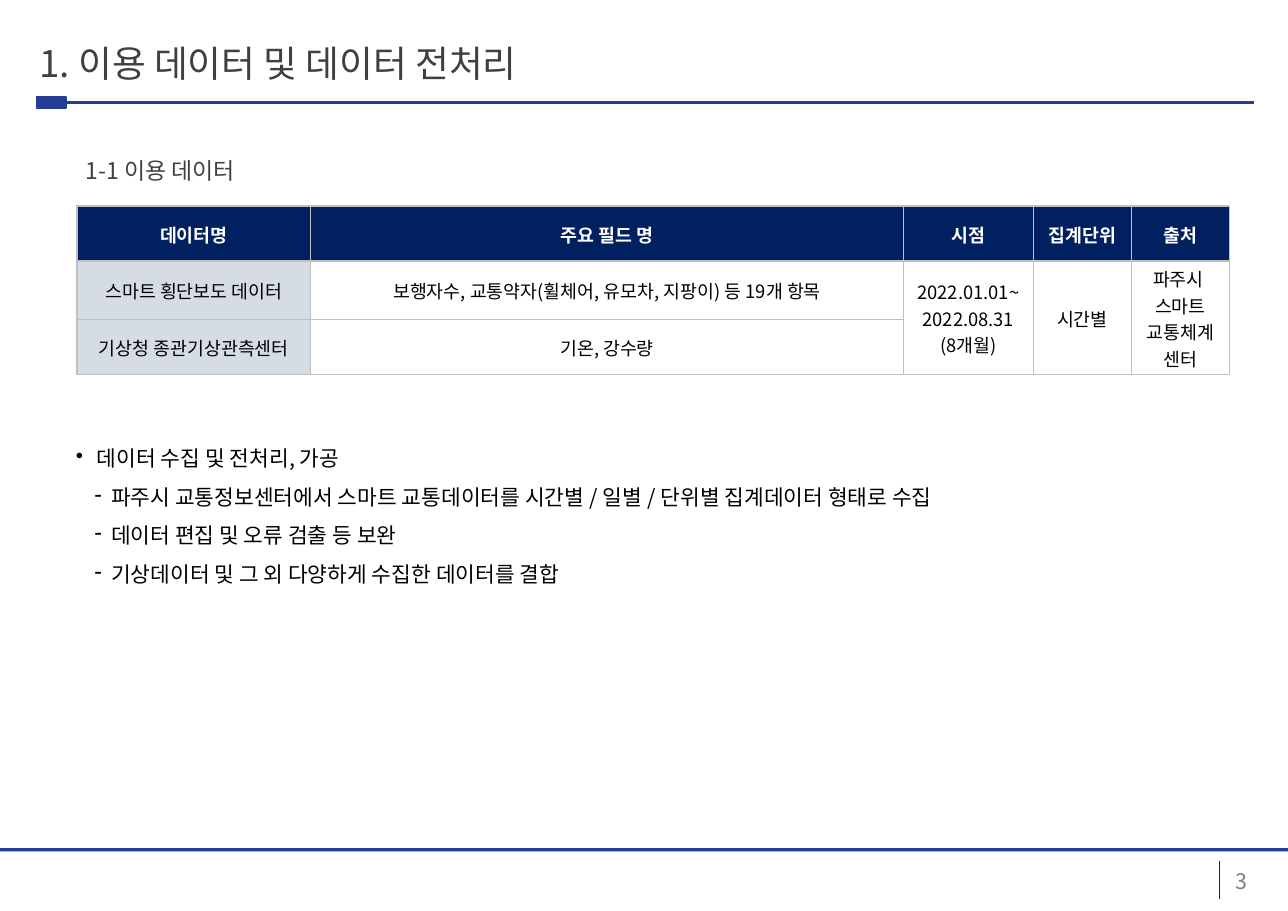
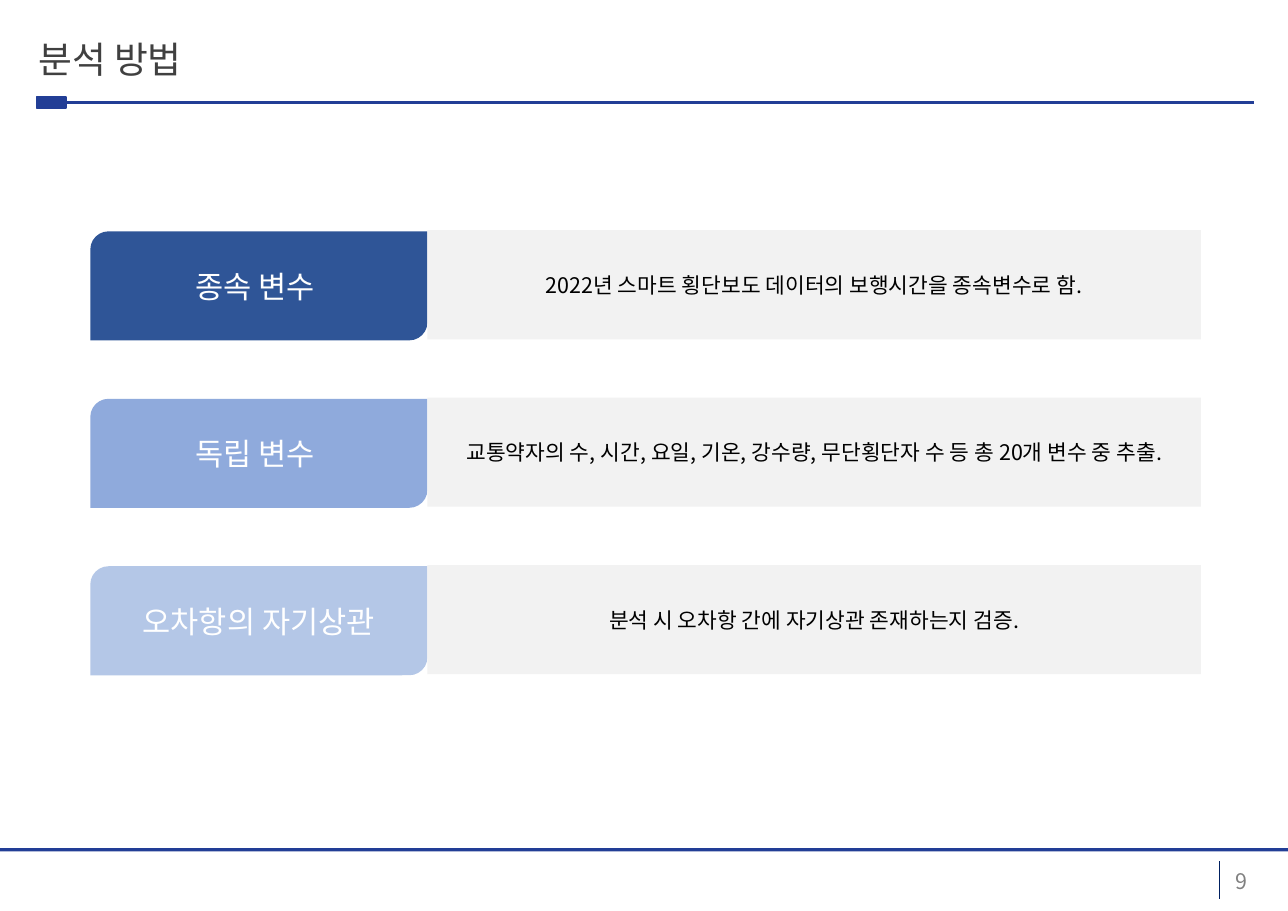
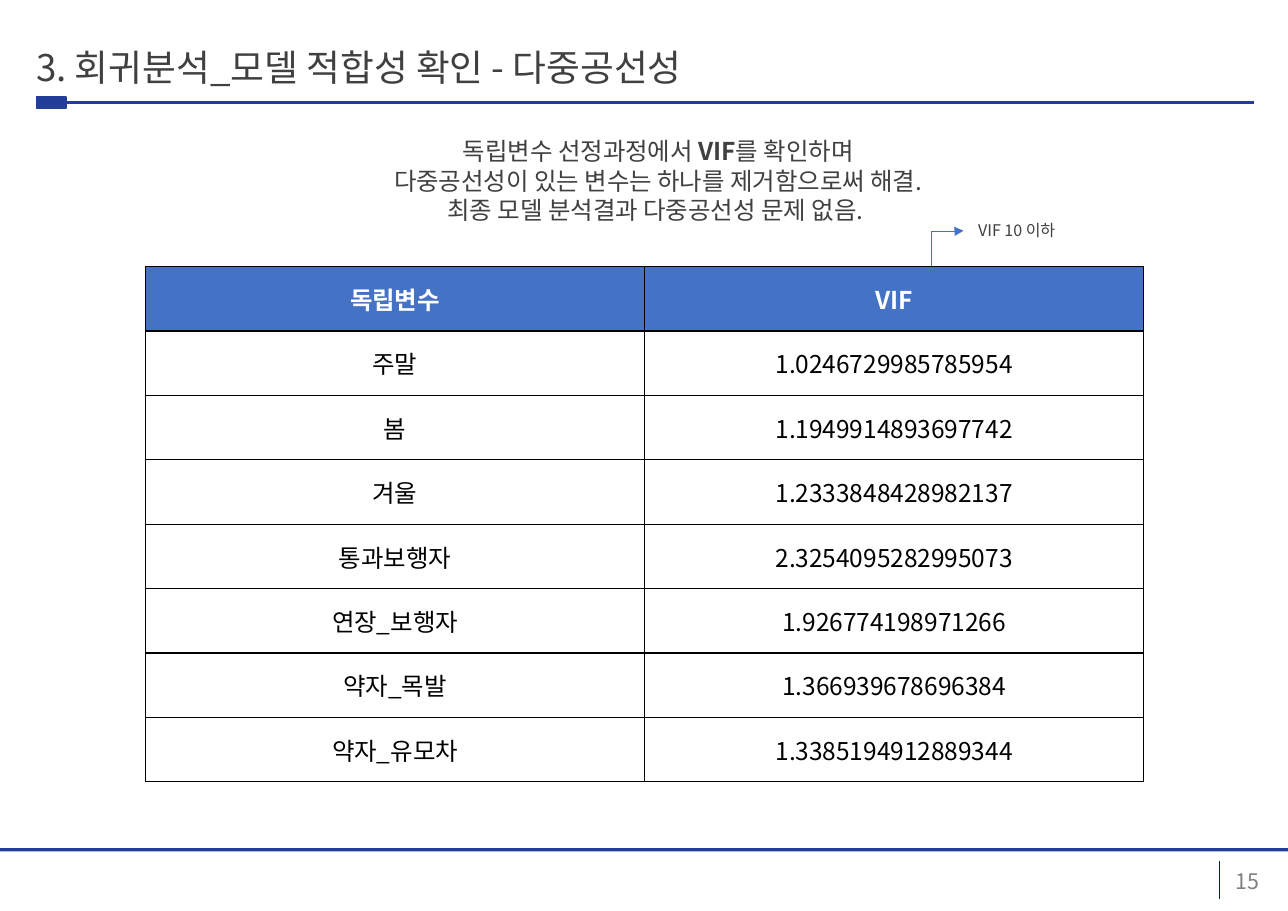
import lxml.etree
import pptx
import pptx.dml.color
import pptx.enum.shapes
import pptx.enum.text
import pptx.oxml.ns
import pptx.util

Inches = pptx.util.Inches
Pt = pptx.util.Pt
RGBColor = pptx.dml.color.RGBColor
Shape = pptx.enum.shapes.MSO_SHAPE
Connector = pptx.enum.shapes.MSO_CONNECTOR
Align = pptx.enum.text.PP_ALIGN
Anchor = pptx.enum.text.MSO_ANCHOR
qn = pptx.oxml.ns.qn

FONT = "Noto Sans CJK KR"
WIDTH, HEIGHT = 11.69, 8.27
BAND_BLUE = RGBColor(0x22, 0x3E, 0x96)
NAVY = RGBColor(0x00, 0x20, 0x60)
BLUE = RGBColor(0x44, 0x72, 0xC4)
DARK_GRAY = RGBColor(0x40, 0x40, 0x40)
PAGE_GRAY = RGBColor(0x80, 0x80, 0x80)
BORDER_GRAY = RGBColor(0xBF, 0xBF, 0xBF)
PANEL_GRAY = RGBColor(0xF2, 0xF2, 0xF2)
NAME_GRAY = RGBColor(0xD6, 0xDC, 0xE5)
BLACK = RGBColor(0x00, 0x00, 0x00)
WHITE = RGBColor(0xFF, 0xFF, 0xFF)
TAG_BLUES = [RGBColor(0x2F, 0x55, 0x97), RGBColor(0x8F, 0xAA, 0xDC), RGBColor(0xB4, 0xC7, 0xE7)]


# Text

def format_run(run, size, color, bold):
    run.font.size, run.font.name, run.font.bold = Pt(size), FONT, bold
    run.font.color.rgb = color
    lxml.etree.SubElement(run.font._element, qn("a:ea")).set("typeface", FONT)


def write(frame, lines, size, color, align=Align.LEFT, bold=False):
    """Each line is a string, or a tuple of runs in which every second one is bold."""
    frame.text = "\n".join("".join(line) for line in lines)
    for line, paragraph in zip(lines, frame.paragraphs):
        paragraph.alignment = align
        if isinstance(line, tuple):
            paragraph.clear()
            for text in line:
                paragraph.add_run().text = text
        for index, run in enumerate(paragraph.runs):
            format_run(run, size, color, bold or index % 2 == 1)


def add_text(slide, box, lines, size, color, align=Align.LEFT, anchor=Anchor.TOP, wrap=True):
    frame = slide.shapes.add_textbox(*map(Inches, box)).text_frame
    frame.word_wrap, frame.vertical_anchor = wrap, anchor
    write(frame, lines, size, color, align)
    return frame


def space_paragraph(paragraph):
    paragraph.line_spacing, paragraph.space_before = 0.9, Pt(10)


def add_label(slide, box, text, size):
    frame = add_text(slide, box, [text], size, DARK_GRAY, anchor=Anchor.MIDDLE)
    space_paragraph(frame.paragraphs[0])


def add_bullets(slide, box, items):
    """Items are (bullet sign, left margin, hanging width, text)."""
    frame = add_text(slide, box, [item[3] for item in items], 14, BLACK)
    for (sign, margin, hanging, _), paragraph in zip(items, frame.paragraphs):
        space_paragraph(paragraph)
        properties = paragraph._p.get_or_add_pPr()
        properties.set("marL", str(Inches(margin)))
        properties.set("indent", str(-Inches(hanging)))
        lxml.etree.SubElement(properties, qn("a:buChar")).set("char", sign)


# Shapes and lines

def add_block(slide, kind, box, fill):
    shape = slide.shapes.add_shape(kind, *map(Inches, box))
    shape.shadow.inherit = False
    shape.fill.solid()
    shape.fill.fore_color.rgb = fill
    shape.line.fill.background()
    return shape


def add_line(slide, kind, ends, color, width):
    connector = slide.shapes.add_connector(kind, *map(Inches, ends))
    connector.line.color.rgb, connector.line.width = color, Pt(width)
    lxml.etree.SubElement(connector._element.spPr, qn("a:effectLst"))
    return connector


def add_callout_arrow(slide, left, top, width, height):
    """Elbow arrow that rises from a table edge and turns right."""
    # The box is turned a quarter, so the ends are given before turning.
    ends = (left + width, top + height, left, top)
    connector = add_line(slide, Connector.ELBOW, ends, BLUE, 0.5)
    properties = connector._element.spPr
    properties.find(qn("a:xfrm")).set("rot", "5400000")
    guides = properties.find(qn("a:prstGeom")).get_or_add_avLst()
    guide = lxml.etree.SubElement(guides, qn("a:gd"))
    guide.set("name", "adj1")
    guide.set("fmla", "val 98500")
    line = properties.find(qn("a:ln"))
    lxml.etree.SubElement(line, qn("a:tailEnd")).set("type", "triangle")


# Tables

def set_borders(cell, color):
    properties = cell._tc.get_or_add_tcPr()
    for side in ("lnL", "lnR", "lnT", "lnB"):
        line = lxml.etree.SubElement(properties, qn("a:" + side))
        line.set("w", str(Pt(1)))
        fill = lxml.etree.SubElement(line, qn("a:solidFill"))
        lxml.etree.SubElement(fill, qn("a:srgbClr")).set("val", str(color))


def add_grid(slide, left, top, columns, heights, rows, size, border, head_fill, name_fill,
             inset=None, merged=()):
    """Table with a header row and a name column; merged columns join all body rows."""
    box = map(Inches, (left, top, sum(columns), sum(heights)))
    table = slide.shapes.add_table(len(rows), len(columns), *box).table
    table.horz_banding = False
    for column, width in zip(table.columns, columns):
        column.width = Inches(width)
    for row, height in zip(table.rows, heights):
        row.height = Inches(height)
    for row_index, row in enumerate(rows):
        for column_index in range(len(columns)):
            cell = table.cell(row_index, column_index)
            set_borders(cell, border)
            cell.fill.solid()
            head = row_index == 0
            cell.fill.fore_color.rgb = head_fill if head else WHITE if column_index else name_fill
            cell.vertical_anchor = Anchor.MIDDLE
            if inset is not None:
                cell.margin_left = cell.margin_right = cell.margin_top = Inches(inset)
                cell.margin_bottom = 0
            if column_index < len(row):
                write(cell.text_frame, row[column_index].split("\n"), size,
                      WHITE if head else BLACK, Align.CENTER, head)
    for column_index in merged:
        table.cell(1, column_index).merge(table.cell(len(rows) - 1, column_index))


# Parts on every slide

def add_frame(presentation, title, page, left, top):
    slide = presentation.slides.add_slide(presentation.slide_layouts[6])
    # Title band
    add_line(slide, Connector.STRAIGHT, (0.6, 0.93, 11.38, 0.93), BAND_BLUE, 2.25)
    accent = add_block(slide, Shape.RECTANGLE, (0.33, 0.88, 0.27, 0.1), BAND_BLUE)
    accent.line.color.rgb, accent.line.width = BAND_BLUE, Pt(1)
    add_text(slide, (left, top, 11.2, 0.36), [title], 24, DARK_GRAY, anchor=Anchor.MIDDLE)
    # Footer
    add_block(slide, Shape.RECTANGLE, (0, 7.7, WIDTH, 0.03), BAND_BLUE)
    add_line(slide, Connector.STRAIGHT, (11.07, 7.82, 11.07, 8.16), NAVY, 0.75)
    add_text(slide, (11.12, 7.83, 0.5, 0.34), [str(page)], 14, PAGE_GRAY, wrap=False)
    return slide


# Slides

def build_data_slide(presentation):
    slide = add_frame(presentation, "1. 이용 데이터 및 데이터 전처리", 3, 0.26, 0.39)
    add_label(slide, (0.68, 1.4, 10, 0.32), "1-1 이용 데이터", 15)
    rows = [
        ["데이터명", "주요 필드 명", "시점", "집계단위", "출처"],
        ["스마트 횡단보도 데이터", "보행자수, 교통약자(휠체어, 유모차, 지팡이) 등 19개 항목",
         "2022.01.01~\n2022.08.31\n(8개월)", "시간별", "파주시 \n스마트\n교통체계\n센터"],
        ["기상청 종관기상관측센터", "기온, 강수량"],
    ]
    add_grid(slide, 0.7, 1.87, [2.12, 5.38, 1.18, 0.89, 0.89], [0.5, 0.53, 0.5], rows, 12,
             BORDER_GRAY, NAVY, NAME_GRAY, inset=0.01, merged=(2, 3, 4))
    details = ["파주시 교통정보센터에서 스마트 교통데이터를 시간별 / 일별 / 단위별 집계데이터 형태로 수집",
               "데이터 편집 및 오류 검출 등 보완",
               "기상데이터 및 그 외 다양하게 수집한 데이터를 결합"]
    add_bullets(slide, (0, 4.02, 11.05, 2.98),
                [("•", 0.78, 0.19, "데이터 수집 및 전처리, 가공")]
                + [("-", 0.91, 0.15, text) for text in details])


def add_variable_row(slide, left, top, fill, name, description):
    tag = add_block(slide, Shape.ROUND_2_DIAG_RECTANGLE, (left, top + 0.01, 3.06, 0.99), fill)
    panel = add_block(slide, Shape.RECTANGLE, (left + 3.06, top, 7.02, 0.99), PANEL_GRAY)
    for shape, text, size, color in ((tag, name, 20, WHITE), (panel, description, 14, BLACK)):
        shape.text_frame.word_wrap = True
        shape.text_frame.vertical_anchor = Anchor.MIDDLE
        write(shape.text_frame, [text], size, color, Align.CENTER)


def build_method_slide(presentation):
    slide = add_frame(presentation, "분석 방법", 9, 0.25, 0.35)
    variables = [
        ("종속 변수 ", "2022년 스마트 횡단보도 데이터의 보행시간을 종속변수로 함."),
        ("독립 변수 ", "교통약자의 수, 시간, 요일, 기온, 강수량, 무단횡단자 수 등 총 20개 변수 중 추출."),
        ("오차항의 자기상관", "분석 시 오차항 간에 자기상관 존재하는지 검증."),
    ]
    for index, (name, description) in enumerate(variables):
        add_variable_row(slide, 0.82, 2.09 + 1.52 * index, TAG_BLUES[index], name, description)


def build_vif_slide(presentation):
    slide = add_frame(presentation, "3. 회귀분석_모델 적합성 확인 - 다중공선성", 15, 0.23, 0.43)
    rows = [
        ["독립변수", "VIF"],
        ["주말", "1.0246729985785954"],
        ["봄", "1.1949914893697742"],
        ["겨울", "1.2333848428982137"],
        ["통과보행자", "2.3254095282995073"],
        ["연장_보행자", "1.926774198971266"],
        ["약자_목발", "1.366939678696384"],
        ["약자_유모차", "1.3385194912889344"],
    ]
    add_grid(slide, 1.32, 2.42, [4.53] * 2, [4.68 / len(rows)] * len(rows), rows, 16,
             BLACK, BLUE, WHITE)
    add_text(slide, (1.24, 1.19, 9.47, 0.91),
             [("독립변수 선정과정에서 ", "VIF", "를 확인하며"),
              "다중공선성이 있는 변수는 하나를 제거함으로써 해결.",
              "최종 모델 분석결과 다중공선성 문제 없음. "], 16, DARK_GRAY, Align.CENTER)
    # Note on the VIF column
    add_callout_arrow(slide, 8.44, 2.11, 0.32, 0.29)
    add_label(slide, (8.78, 1.94, 1.12, 0.32), "VIF 10 이하", 10.5)


def main():
    presentation = pptx.Presentation()
    presentation.slide_width, presentation.slide_height = Inches(WIDTH), Inches(HEIGHT)
    build_data_slide(presentation)
    build_method_slide(presentation)
    build_vif_slide(presentation)
    presentation.save("out.pptx")


if __name__ == "__main__":
    main()
